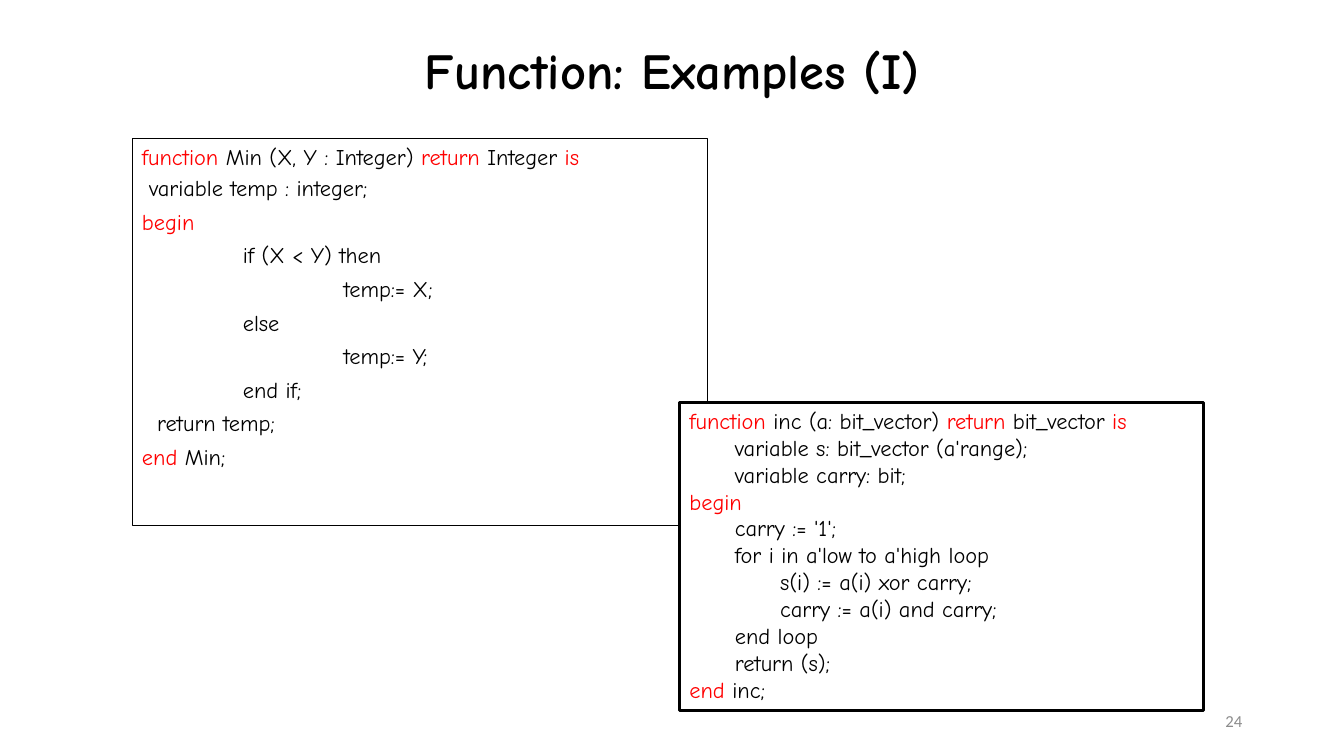
from itertools import groupby

from pptx import Presentation
from pptx.dml.color import RGBColor
from pptx.enum.shapes import MSO_SHAPE
from pptx.enum.text import MSO_ANCHOR, PP_ALIGN
from pptx.util import Inches, Pt

TITLE = "Function: Examples (I)"
PAGE_NUMBER = "24"
CODE_FONT = "Comic Neue"
BLACK, RED, GREY, WHITE = "000000", "FF0000", "8C8C8C", "FFFFFF"
KEYWORDS = {"function", "return", "is", "begin", "end"}

# Each line: indent in inches, space before in points, code
MIN_LINES = [
    (0, 0, "function Min (X, Y : Integer) return Integer is"),
    (0.07, 3.2, "variable temp : integer;"),
    (0, 4.8, "begin"),
    (1, 4.8, "if (X < Y) then"),
    (2, 4.8, "temp:= X;"),
    (1, 4.8, "else"),
    (2, 4.8, "temp:= Y;"),
    (1, 4.8, "end if;"),
    (0.15, 4.8, "return temp;"),
    (0, 4.8, "end Min;"),
]
INC_LINES = [
    (0, 0, "function inc (a: bit_vector) return bit_vector is"),
    (0.45, 0, "variable s: bit_vector (a'range);"),
    (0.45, 0, "variable carry: bit;"),
    (0, 0, "begin"),
    (0.45, 0, "carry := '1';"),
    (0.45, 0, "for i in a'low to a'high loop"),
    (0.9, 0, "s(i) := a(i) xor carry;"),
    (0.9, 0, "carry := a(i) and carry;"),
    (0.45, 0, "end loop"),
    (0.45, 0, "return (s);"),
    (0, 0, "end inc;"),
]
# Box (left, top, width, height), line width, fill, wrap, lines
LISTINGS = [
    ((1.31, 1.37, 5.71, 3.84), 0.75, None, True, MIN_LINES),
    ((6.74, 3.99, 5.2, 3.06), 2, WHITE, False, INC_LINES),
]


def rgb(color):
    return RGBColor.from_string(color)


def add_run(paragraph, text, size, color, font=CODE_FONT, bold=False):
    run = paragraph.add_run()
    run.text = text
    run.font.name = font
    run.font.size = Pt(size)
    run.font.bold = bold
    run.font.color.rgb = rgb(color)


def add_code_line(paragraph, indent, before, code):
    """Write one line of code; keywords are red only on unindented lines."""
    paragraph.alignment = PP_ALIGN.LEFT
    paragraph.space_before = Pt(before)
    paragraph._p.get_or_add_pPr().set("marL", str(Inches(indent)))
    words = [word + " " for word in code.split()]
    words[-1] = words[-1].rstrip()
    for is_keyword, group in groupby(
            words, lambda word: indent == 0 and word.strip() in KEYWORDS):
        add_run(paragraph, "".join(group), 16, RED if is_keyword else BLACK)


def add_listing(slide, box, line_width, fill, wrap, lines):
    listing = slide.shapes.add_shape(MSO_SHAPE.RECTANGLE, *map(Inches, box))
    listing.shadow.inherit = False
    if fill:
        listing.fill.solid()
        listing.fill.fore_color.rgb = rgb(fill)
    else:
        listing.fill.background()
    listing.line.color.rgb = rgb(BLACK)
    listing.line.width = Pt(line_width)
    frame = listing.text_frame
    frame.word_wrap = wrap
    frame.vertical_anchor = MSO_ANCHOR.TOP
    for i, line in enumerate(lines):
        paragraph = frame.add_paragraph() if i else frame.paragraphs[0]
        add_code_line(paragraph, *line)


def main():
    prs = Presentation()
    prs.slide_width, prs.slide_height = Inches(13.33), Inches(7.5)
    slide = prs.slides.add_slide(prs.slide_layouts[5])

    title = slide.shapes.title
    title.left, title.top = Inches(0.92), Inches(0)
    title.width, title.height = Inches(11.5), Inches(1.45)
    title.text_frame.vertical_anchor = MSO_ANCHOR.MIDDLE
    heading = title.text_frame.paragraphs[0]
    heading.alignment = PP_ALIGN.CENTER
    heading.line_spacing = 0.9
    add_run(heading, TITLE, 36, BLACK, bold=True)

    for listing in LISTINGS:
        add_listing(slide, *listing)

    page = slide.shapes.add_textbox(*map(Inches, (9.42, 6.95, 3, 0.4))).text_frame
    page.word_wrap = True
    page.vertical_anchor = MSO_ANCHOR.MIDDLE
    page.paragraphs[0].alignment = PP_ALIGN.RIGHT
    add_run(page.paragraphs[0], PAGE_NUMBER, 12, GREY, font="Calibri")

    prs.save("out.pptx")


if __name__ == "__main__":
    main()
